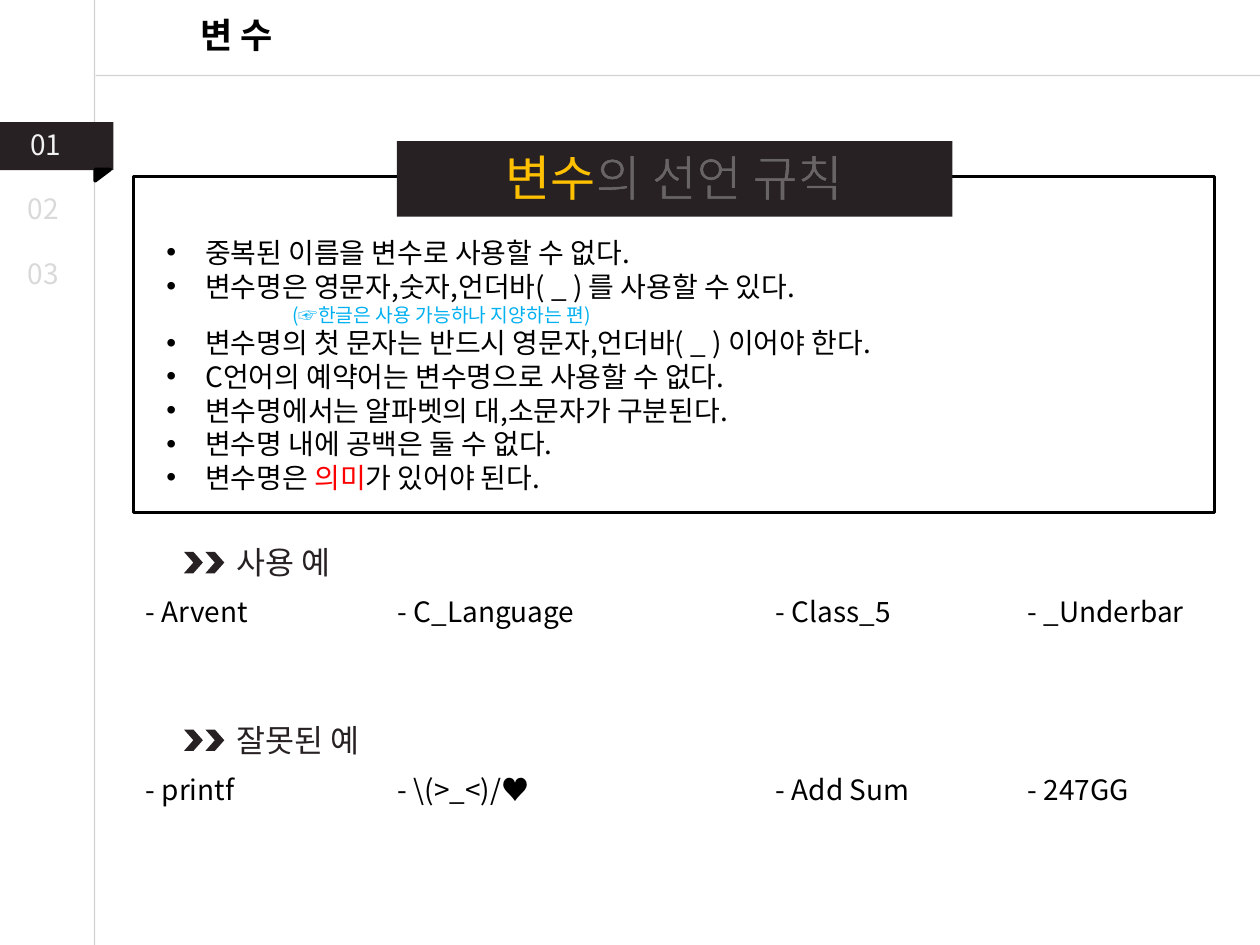
"""Build the slide on the naming rules for variables."""
from dataclasses import dataclass

from lxml import etree
from pptx import Presentation
from pptx.dml.color import RGBColor
from pptx.enum.shapes import MSO_CONNECTOR, MSO_SHAPE
from pptx.enum.text import MSO_ANCHOR, MSO_AUTO_SIZE, PP_ALIGN
from pptx.oxml.ns import qn
from pptx.util import Inches, Pt

RECTANGLE = MSO_SHAPE.RECTANGLE
CHEVRON = MSO_SHAPE.CHEVRON
RIGHT_TRIANGLE = MSO_SHAPE.RIGHT_TRIANGLE
STRAIGHT = MSO_CONNECTOR.STRAIGHT
LEFT, CENTER = PP_ALIGN.LEFT, PP_ALIGN.CENTER
TOP = MSO_ANCHOR.TOP
NO_AUTOFIT = MSO_AUTO_SIZE.NONE

FONT = "Noto Sans CJK KR"
DARK, BLACK, WHITE, GREY = "272123", "000000", "FFFFFF", "D9D9D9"
GOLD, BLUE, RED = "FFC000", "00B0F0", "FF0000"
TAB_STOPS = (2, 5, 7)


@dataclass(frozen=True)
class Span:
    text: str
    color: str = BLACK


@dataclass(frozen=True)
class Rule:
    spans: tuple[Span, ...]
    size: float = 16
    bulleted: bool = True


@dataclass(frozen=True)
class ExampleRow:
    heading: str
    names: tuple[str, ...]
    top: float


RULES = (
    Rule((Span("중복된 이름을 변수로 사용할 수 없다."),)),
    Rule((Span("변수명은 영문자,숫자,언더바( _ ) 를 사용할 수 있다."),)),
    Rule((Span("(☞한글은 사용 가능하나 지양하는 편)", BLUE),), 11, False),
    Rule((Span("변수명의 첫 문자는 반드시 영문자,언더바( _ ) 이어야 한다."),)),
    Rule((Span("C언어의 예약어는 변수명으로 사용할 수 없다."),)),
    Rule((Span("변수명에서는 알파벳의 대,소문자가 구분된다."),)),
    Rule((Span("변수명 내에 공백은 둘 수 없다."),)),
    Rule((Span("변수명은 "), Span("의미", RED), Span("가 있어야 된다."))),
)
EXAMPLES = (
    ExampleRow("사용 예", ("Arvent", "C_Language", "Class_5", "_Underbar"), 4.26),
    ExampleRow("잘못된 예", ("printf", "\\(>_<)/♥", "Add Sum", "247GG"), 5.67),
)
CHAPTERS = (("01", 0.14, 0.96, "F2F2F2"), ("02", 0.12, 1.47, GREY), ("03", 0.12, 1.99, GREY))


def rgb(color: str) -> RGBColor:
    """Turn a hex string into a colour."""
    return RGBColor.from_string(color)


def set_alpha(fill, percent: int) -> None:
    """Make the solid colour under an element partly transparent."""
    color = fill.find(".//" + qn("a:srgbClr"))
    etree.SubElement(color, qn("a:alpha"), val=str(percent * 1000))


def write_spans(paragraph, spans: tuple[Span, ...], size: float, bold: bool = False) -> None:
    """Write coloured, thinly outlined runs into a paragraph."""
    for span in spans:
        run = paragraph.add_run()
        run.text = span.text
        run.font.size, run.font.bold, run.font.name = Pt(size), bold, FONT
        run.font.color.rgb = rgb(span.color)
        properties = run.font._element
        etree.SubElement(properties, qn("a:ea"), typeface=FONT)
        outline = etree.Element(qn("a:ln"), w=str(Pt(0.75)))
        fill = etree.SubElement(outline, qn("a:solidFill"))
        etree.SubElement(fill, qn("a:srgbClr"), val=BLACK)
        set_alpha(outline, 30)
        properties.insert(0, outline)


def place(box, left: float, top: float, width: float, height: float):
    """Position a text shape and return its plain, wrapping frame."""
    box.left, box.top = Inches(left), Inches(top)
    box.width, box.height = Inches(width), Inches(height)
    frame = box.text_frame
    frame.auto_size, frame.word_wrap = NO_AUTOFIT, True
    frame.vertical_anchor = TOP
    return frame


def add_text(page, spans, left, top, width, height, size, align=LEFT):
    """Add a one-paragraph text box and return the paragraph."""
    box = page.shapes.add_textbox(0, 0, 0, 0)
    paragraph = place(box, left, top, width, height).paragraphs[0]
    paragraph.alignment = align
    write_spans(paragraph, spans, size)
    return paragraph


def add_block(page, kind, left, top, width, height, fill=None, line=None):
    """Add a flat preset shape with an optional fill and line."""
    block = page.shapes.add_shape(kind, Inches(left), Inches(top), Inches(width), Inches(height))
    block.shadow.inherit = False
    if fill:
        block.fill.solid()
        block.fill.fore_color.rgb = rgb(fill)
    else:
        block.fill.background()
    if line:
        block.line.color.rgb = rgb(line)
        block.line.width = Pt(2)
    else:
        block.line.fill.background()
    return block


def add_guide(page, x1: float, y1: float, x2: float, y2: float) -> None:
    """Add a pale dividing line."""
    guide = page.shapes.add_connector(STRAIGHT, Inches(x1), Inches(y1), Inches(x2), Inches(y2))
    guide.line.color.rgb = rgb("A6A6A6")
    guide.line.width = Pt(0.75)
    properties = guide._element.spPr
    set_alpha(properties, 50)
    etree.SubElement(properties, qn("a:effectLst"))


def write_rules(frame) -> None:
    """Fill the body with the bulleted rules and their note."""
    for index, rule in enumerate(RULES):
        paragraph = frame.add_paragraph() if index else frame.paragraphs[0]
        paragraph.space_before = Pt(0)
        properties = paragraph._p.get_or_add_pPr()
        indent = 0.31 if rule.bulleted else 0
        properties.set("marL", str(Inches(indent or 1)))
        properties.set("indent", str(-Inches(indent)))
        if rule.bulleted:
            etree.SubElement(properties, qn("a:buFont"), typeface="Arial")
            etree.SubElement(properties, qn("a:buChar"), char="•")
        else:
            etree.SubElement(properties, qn("a:buNone"))
        write_spans(paragraph, rule.spans, rule.size)


def add_examples(page, row: ExampleRow) -> None:
    """Add a chevron heading and a tabbed row of names."""
    for left in (1.63, 1.46):
        add_block(page, CHEVRON, left, row.top + 0.12, 0.15, 0.17, DARK)
    add_text(page, (Span(row.heading, DARK),), 1.78, row.top, 1.4, 0.4, 18)
    names = "\t".join(f"- {name}" for name in row.names)
    paragraph = add_text(page, (Span(names),), 1.06, row.top + 0.41, 8.58, 0.37, 16)
    stops = etree.SubElement(paragraph._p.get_or_add_pPr(), qn("a:tabLst"))
    for stop in TAB_STOPS:
        etree.SubElement(stops, qn("a:tab"), pos=str(Inches(stop)), algn="l")


def main() -> None:
    """Build and save the deck."""
    deck = Presentation()
    deck.slide_width, deck.slide_height = Inches(10), Inches(7.5)
    page = deck.slides.add_slide(deck.slide_layouts[1])
    title, body = page.placeholders

    heading = place(title, 0.81, 0.06, 2.14, 0.44).paragraphs[0]
    heading.alignment = CENTER
    write_spans(heading, (Span("변 수"),), 20, bold=True)
    write_rules(place(body, 1.22, 1.82, 6.87, 2.17))

    add_guide(page, 0.75, 0, 0.75, 7.5)
    add_guide(page, 0.76, 0.6, 10, 0.6)
    add_block(page, RECTANGLE, 0, 0.97, 0.9, 0.38, DARK)
    add_block(page, RIGHT_TRIANGLE, 0.77, 1.33, 0.09, 0.12, BLACK, BLACK).rotation = 90
    for number, left, top, color in CHAPTERS:
        add_text(page, (Span(number, color),), left, top, 0.59, 0.37, 16)

    add_block(page, RECTANGLE, 1.06, 1.4, 8.58, 2.67, line=BLACK)
    add_block(page, RECTANGLE, 3.15, 1.12, 4.41, 0.6, DARK)
    banner = (Span("변수", GOLD), Span("의 선언 규칙", WHITE))
    add_text(page, banner, 2.75, 1.12, 5.2, 0.6, 28, CENTER)
    for row in EXAMPLES:
        add_examples(page, row)
    deck.save("out.pptx")


if __name__ == "__main__":
    main()
